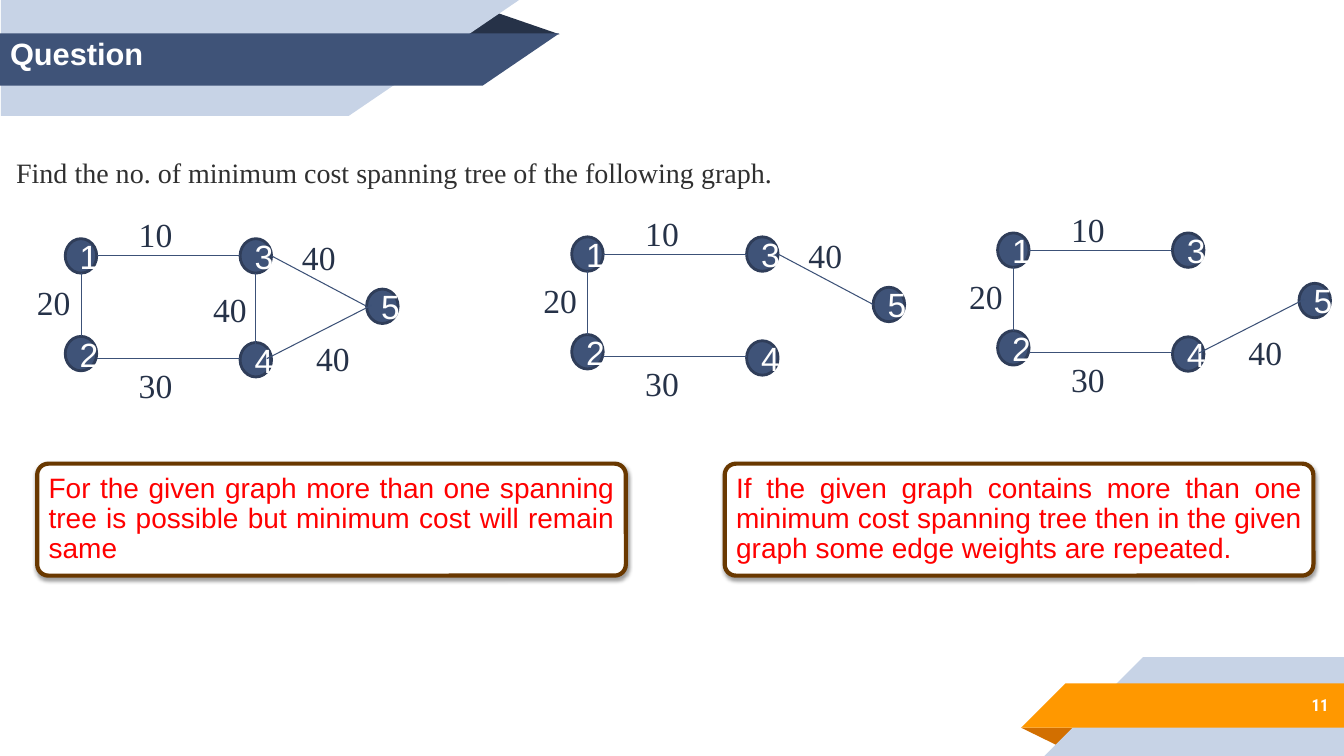
from lxml.etree import SubElement
from pptx import Presentation
from pptx.dml.color import RGBColor
from pptx.enum.shapes import MSO_CONNECTOR as Link, MSO_SHAPE as Shape
from pptx.enum.text import MSO_ANCHOR as Anchor, MSO_AUTO_SIZE as Fit, PP_ALIGN as Align
from pptx.oxml import parse_xml
from pptx.oxml.ns import nsdecls, qn
from pptx.util import Pt

NAVY = RGBColor(0x3F, 0x53, 0x78)
DARK = RGBColor(0x26, 0x32, 0x48)
PALE = RGBColor(0xC7, 0xD3, 0xE6)
ORANGE = RGBColor(0xFF, 0x98, 0x00)
RUST = RGBColor(0xD2, 0x6F, 0x00)
RIM = RGBColor(0x2F, 0x3D, 0x59)
EDGE = RGBColor(0x3C, 0x51, 0x77)
GREY = RGBColor(0x30, 0x30, 0x30)
BROWN = RGBColor(0x69, 0x38, 0x00)
RED = RGBColor(0xFF, 0x00, 0x00)
WHITE = RGBColor(0xFF, 0xFF, 0xFF)
SERIF = "Times New Roman"

WIDE, HIGH = 960, 540
TITLE = "Question"
TASK = "Find the no. of minimum cost spanning tree of the following graph."
PAGE = "11"
BANDS = [
    (DARK, [(328.3, 24.5), (351.4, 7.9), (399.6, 24.5)]),
    (PALE, [(0.7, 0), (370.8, 0), (249.1, 82.8), (0.7, 82.8)]),
    (NAVY, [(0, 23.8), (399.6, 23.8), (344.7, 61.2), (0, 61.2)]),
    (RUST, [(729.4, 519.8), (770.4, 519.8), (757.4, 533.5)]),
    (PALE, [(745.9, HIGH), (816.5, 469.4), (WIDE, 469.4), (WIDE, HIGH)]),
    (ORANGE, [(729.4, 519.8), (761, 488.2), (WIDE, 488.2), (WIDE, 519.8)]),
]

# Places within a graph are measured from the corner of node 1.
NODES = {"1": (0, 0), "2": (0, 69.8), "3": (124.9, 0),
         "4": (124.9, 74.2), "5": (215.3, 36)}
NODE_W, NODE_H = 22.5, 24.6
# Each edge: start, end, cost, corner of the cost label
EDGES = {
    "1-3": ((22.5, 12.3), (124.9, 12.3), "10", (45.4, -20.9)),
    "1-2": ((11.3, 24.6), (11.3, 69.8), "20", (-27.4, 27.4)),
    "2-4": ((22.5, 85.7), (124.9, 85.7), "30", (45.4, 86.4)),
    "3-4": ((136.2, 24.6), (136.2, 75.6), "40", (98.6, 32.4)),
    "3-5": ((147.4, 12.3), (215.3, 48.3), "40", (162, -5)),
    "4-5": ((144, 85.7), (218.9, 47.5), "40", (172.1, 67)),
}
TREE = ["1-3", "1-2", "2-4"]
GRAPHS = [
    ((46.6, 170.5), list(EDGES)),
    ((408.4, 169.2), TREE + ["3-5"]),
    ((712.6, 166.4), TREE + ["4-5"]),
]
CARDS = [
    (26.6, "For the given graph more than one spanning tree is possible "
           "but minimum cost will remain same"),
    (517.7, "If the given graph contains more than one minimum cost spanning "
            "tree then in the given graph some edge weights are repeated."),
]


def write(shape, text, size, color, font="Arial", bold=False, align=Align.LEFT,
          anchor=Anchor.TOP, space=1.0, inset=None):
    frame = shape.text_frame
    frame.word_wrap = True
    frame.auto_size = Fit.NONE
    frame.vertical_anchor = anchor
    if inset is not None:
        frame.margin_left = frame.margin_right = Pt(inset)
        frame.margin_top = frame.margin_bottom = Pt(inset)
    para = frame.paragraphs[0]
    para.alignment, para.line_spacing, para.space_before = align, space, Pt(0)
    run = para.add_run()
    run.text = text
    run.font.name, run.font.size, run.font.bold = font, Pt(size), bold
    run.font.color.rgb = color


def place(shape, *box):
    shape.left, shape.top, shape.width, shape.height = map(Pt, box)


def paint(shape, fill, rim=None, width=0):
    shape.shadow.inherit = False
    shape.fill.solid()
    shape.fill.fore_color.rgb = fill
    if rim is None:
        shape.line.fill.background()
    else:
        shape.line.color.rgb = rim
        shape.line.width = Pt(width)


def label(shapes, box, text, size, color, **style):
    write(shapes.add_textbox(*map(Pt, box)), text, size, color, **style)


def band(shapes, color, dots):
    pen = shapes.build_freeform(*map(Pt, dots[0]))
    pen.add_line_segments([tuple(map(Pt, dot)) for dot in dots[1:]])
    paint(pen.convert_to_shape(), color)


def graph(slide, left, top, names):
    shapes = slide.shapes.add_group_shape().shapes
    for name, (x, y) in NODES.items():
        box = map(Pt, (left + x, top + y, NODE_W, NODE_H))
        node = shapes.add_shape(Shape.OVAL, *box)
        paint(node, NAVY, RIM, 2)
        write(node, name, 24, WHITE, align=Align.CENTER, anchor=Anchor.MIDDLE)
    for name in names:
        (x1, y1), (x2, y2), cost, (x, y) = EDGES[name]
        ends = map(Pt, (left + x1, top + y1, left + x2, top + y2))
        line = shapes.add_connector(Link.STRAIGHT, *ends)
        line.line.color.rgb = EDGE
        line.line.width = Pt(0.75)
        SubElement(line._element.spPr, qn("a:effectLst"))
        label(shapes, (left + x, top + y, 39.6, 36), cost, 24, DARK, font=SERIF)


def card(slide, left, text):
    box = map(Pt, (left, 331.2, 420.5, 80))
    shape = slide.shapes.add_shape(Shape.ROUNDED_RECTANGLE, *box)
    shape.adjustments[0] = 0.1
    paint(shape, WHITE, BROWN, 3)
    shade = parse_xml(
        f'<a:outerShdw {nsdecls("a")} blurRad="{Pt(3.1)}" dist="{Pt(1.6)}" '
        'dir="5400000" rotWithShape="0"><a:srgbClr val="000000">'
        '<a:alpha val="38000"/></a:srgbClr></a:outerShdw>')
    shape._element.spPr.find(qn("a:effectLst")).append(shade)
    write(shape, text, 20, RED, align=Align.JUSTIFY, anchor=Anchor.MIDDLE,
          space=0.9, inset=5.8)


def main():
    deck = Presentation()
    deck.slide_width, deck.slide_height = Pt(WIDE), Pt(HIGH)
    slide = deck.slides.add_slide(deck.slide_layouts[1])
    shapes = slide.shapes
    title, body = shapes.title, slide.placeholders[1]
    for color, dots in BANDS:
        band(shapes, color, dots)
    label(shapes, (799.9, 486.7, 156.2, 33.1), PAGE, 12, WHITE, bold=True,
          font="Roboto Condensed", align=Align.RIGHT, anchor=Anchor.MIDDLE, inset=7.2)

    # Bring the placeholders in front of the bands
    for holder in (title, body):
        shapes._spTree.append(holder._element)
    place(title, 0, 20.9, 695.5, 75.6)
    write(title, TITLE, 22, WHITE, bold=True)
    place(body, 4.3, 95.8, 955.7, 75.6)
    write(body, TASK, 20, GREY, font=SERIF, space=1.5)
    props = body.text_frame.paragraphs[0]._p.get_or_add_pPr()
    props.set("marL", "0")
    props.set("indent", "0")
    SubElement(props, qn("a:buNone"))

    for (left, top), names in GRAPHS:
        graph(slide, left, top, names)
    for left, text in CARDS:
        card(slide, left, text)
    deck.save("out.pptx")


if __name__ == "__main__":
    main()
